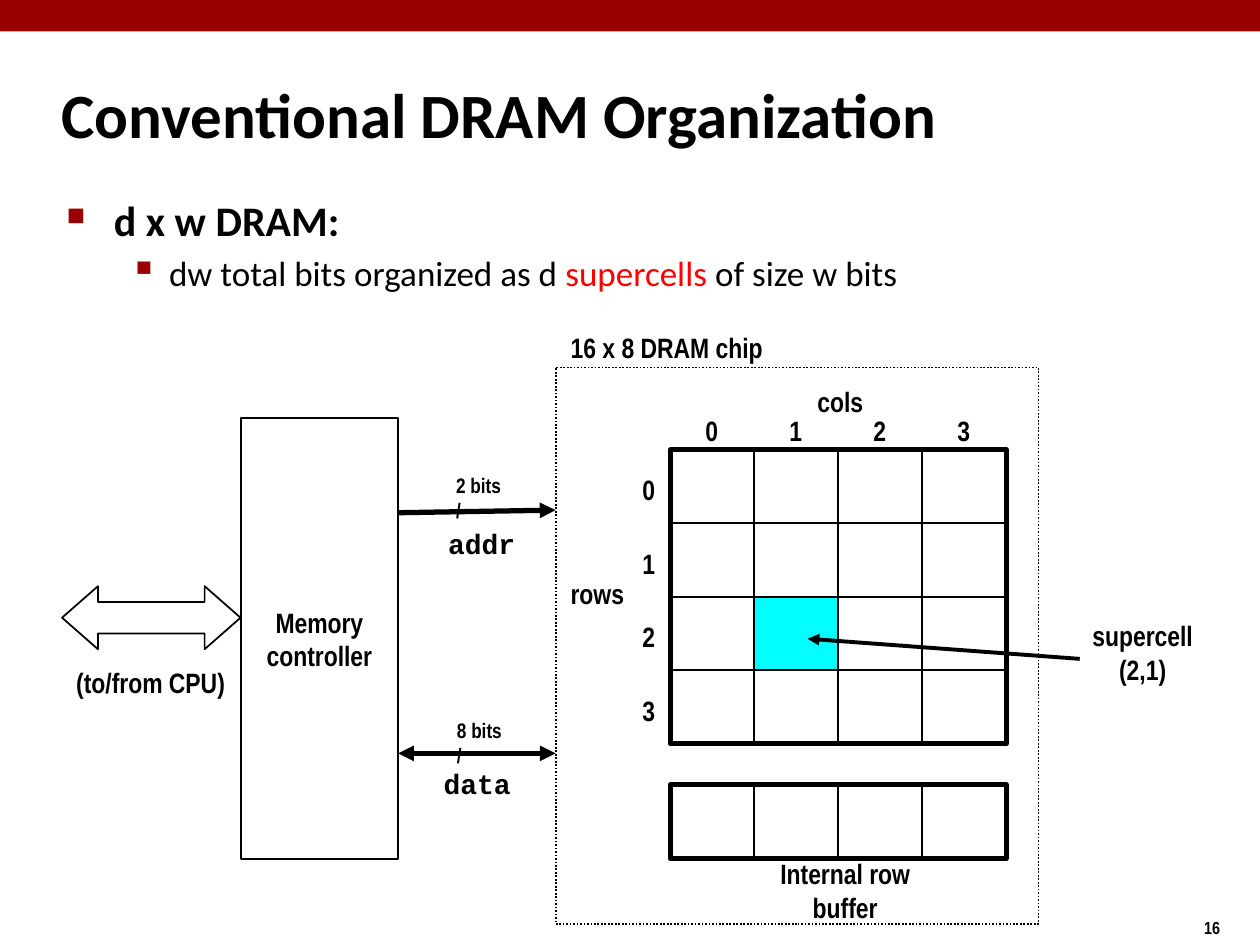
"""Build the slide on conventional DRAM organization."""
from dataclasses import dataclass

from lxml.etree import SubElement
from pptx import Presentation
from pptx.dml.color import RGBColor as Color
from pptx.enum.dml import MSO_LINE_DASH_STYLE as Dash
from pptx.enum.shapes import MSO_CONNECTOR as Link, MSO_SHAPE as Shape
from pptx.enum.text import MSO_ANCHOR as Anchor, MSO_AUTO_SIZE as Fit, PP_ALIGN as Align
from pptx.oxml.ns import qn
from pptx.util import Pt


@dataclass(frozen=True)
class Theme:
    black: str = "000000"
    white: str = "FFFFFF"
    brand: str = "990000"
    accent: str = "FF0000"
    cell: str = "00FFFF"
    heading: str = "Calibri"
    label: str = "Arial Narrow"
    code: str = "Courier New"
    title_size: int = 36
    body_size: int = 24
    detail_size: int = 20
    label_size: int = 16
    small_size: int = 12
    page_size: int = 10
    thin: float = 1
    medium: float = 2.25
    thick: float = 3


class Painter:
    def __init__(self, page, theme):
        self.page = page
        self.theme = theme

    def span(self, para, text, **changes):
        theme = self.theme
        values = {"name": theme.label, "size": theme.label_size,
                  "bold": True, "color": theme.black} | changes
        span = para.add_run()
        span.text = text
        span.font.color.rgb = Color.from_string(values.pop("color"))
        values["size"] = Pt(values["size"])
        for name, value in values.items():
            setattr(span.font, name, value)

    def lines(self, frame, texts, align, **changes):
        for index, text in enumerate(texts):
            para = frame.add_paragraph() if index else frame.paragraphs[0]
            para.alignment = align
            self.span(para, text, **changes)

    def frame(self, place, **changes):
        frame = self.page.shapes.add_textbox(*map(Pt, place)).text_frame
        values = {"word_wrap": False, "auto_size": Fit.NONE,
                  "vertical_anchor": Anchor.MIDDLE} | changes
        for name, value in values.items():
            setattr(frame, name, value)
        return frame

    def label(self, place, *texts, align=Align.LEFT, wrap=False, **changes):
        frame = self.frame(place, word_wrap=wrap)
        self.lines(frame, texts, align, **changes)

    def bullet(self, para, margin, indent, before, mark, percent):
        para.space_before = Pt(before)
        settings = para._p.get_or_add_pPr()
        settings.set("marL", str(Pt(margin)))
        settings.set("indent", str(Pt(-indent)))
        color = SubElement(settings, qn("a:buClr"))
        SubElement(color, qn("a:srgbClr"), val=self.theme.brand)
        SubElement(settings, qn("a:buSzPct"), val=str(percent * 1000))
        SubElement(settings, qn("a:buChar"), char=mark)

    def shape(self, place, fill=None, width=None, dash=None, kind=Shape.RECTANGLE):
        box = self.page.shapes.add_shape(kind, *map(Pt, place))
        box.shadow.inherit = False
        if fill:
            box.fill.solid()
            box.fill.fore_color.rgb = Color.from_string(fill)
        else:
            box.fill.background()
        if width:
            box.line.color.rgb = Color.from_string(self.theme.black)
            box.line.width = Pt(width)
            box.line.dash_style = dash
        else:
            box.line.fill.background()
        return box

    def grid(self, left, top, rows, columns, cell_size, marked=None):
        theme = self.theme
        width, height = cell_size
        for row in range(rows):
            for column in range(columns):
                place = (left + column * width, top + row * height, width, height)
                fill = theme.cell if (row, column) == marked else theme.white
                self.shape(place, fill, theme.thin)
        self.shape((left, top, columns * width, rows * height), width=theme.thick)

    def arrow(self, start, end, width, ends=("tailEnd",)):
        arrow = self.page.shapes.add_connector(Link.STRAIGHT, *map(Pt, start + end))
        arrow.line.color.rgb = Color.from_string(self.theme.black)
        arrow.line.width = Pt(width)
        for name in ends:
            SubElement(arrow.line._get_or_add_ln(), qn(f"a:{name}"), type="triangle")
        SubElement(arrow._element.spPr, qn("a:effectLst"))


def draw_heading(painter):
    theme = painter.theme
    painter.shape((0, 0, 720, 18), theme.brand)
    painter.label((681, 520.5, 54, 19.5), "16", size=theme.page_size)
    painter.label((28, 34.5, 598, 60), "Conventional DRAM Organization",
                  name=theme.heading, size=theme.title_size)
    frame = painter.frame((31, 107.5, 622, 392), word_wrap=True,
                          vertical_anchor=Anchor.TOP)
    para = frame.paragraphs[0]
    painter.bullet(para, 27, 27, 4.8, "■", 60)
    painter.span(para, "d x w DRAM:", name=theme.heading, size=theme.body_size)
    para = frame.add_paragraph()
    para.level = 1
    painter.bullet(para, 58.5, 22.5, 4, "▪", 110)
    for text, color in (("dw total bits organized as d ", theme.black),
                        ("supercells", theme.accent),
                        (" of size w bits", theme.black)):
        painter.span(para, text, name=theme.heading, size=theme.detail_size,
                     bold=False, color=color)


def draw_chip(painter):
    theme = painter.theme
    left, top, cell_size = 383, 257, (48, 42)
    painter.grid(left, top, 4, 4, cell_size, marked=(2, 1))
    painter.grid(left, 448.5, 1, 4, cell_size)
    for index in range(4):
        painter.label((left + 13 + index * 48, 232.5, 21.5, 26.5), str(index))
        painter.label((360, top + 9.5 + index * 42, 21.5, 26.5), str(index))
    painter.label((460, 216, 40.5, 26.5), "cols")
    painter.label((319, 326, 44.5, 26.5), "rows")
    painter.label((425, 495.5, 116, 26.5), "Internal row buffer",
                  align=Align.CENTER, wrap=True)
    painter.shape((317.5, 210, 276, 318), width=theme.thin, dash=Dash.ROUND_DOT)
    painter.label((319, 185, 124, 26.5), "16 x 8 DRAM chip")
    painter.label((617, 350, 72, 45.5), "supercell", "(2,1)", align=Align.CENTER)
    painter.arrow((617, 376.5), (461.5, 365), theme.medium)


def draw_controller(painter):
    theme = painter.theme
    painter.arrow((227.5, 293), (317.5, 291.5), theme.thick)
    painter.arrow((227.5, 430.5), (317.5, 430.5), theme.thick, ("headEnd", "tailEnd"))
    painter.label((249, 297, 52.5, 26.5), "addr", name=theme.code)
    painter.label((246.5, 434.5, 52.5, 26.5), "data", name=theme.code)
    painter.label((253.5, 266.5, 40.5, 36), "2 bits", "/", size=theme.small_size)
    painter.label((254, 406.5, 40.5, 36), "8 bits", "/", size=theme.small_size)
    box = painter.shape((137.5, 239, 90, 252), theme.white, theme.thin)
    box.text_frame.word_wrap = False
    painter.lines(box.text_frame, ("Memory", "controller"), Align.CENTER)
    bus = painter.shape((35.5, 335, 102, 36), theme.white, theme.thin,
                        kind=Shape.LEFT_RIGHT_ARROW)
    bus.adjustments[0], bus.adjustments[1] = 0.5, 0.57
    painter.label((36.5, 376.5, 99.5, 26.5), "(to/from CPU)")


def main():
    deck = Presentation()
    deck.slide_width, deck.slide_height = Pt(720), Pt(540)
    painter = Painter(deck.slides.add_slide(deck.slide_layouts[6]), Theme())
    draw_heading(painter)
    draw_chip(painter)
    draw_controller(painter)
    deck.save("out.pptx")


if __name__ == "__main__":
    main()
